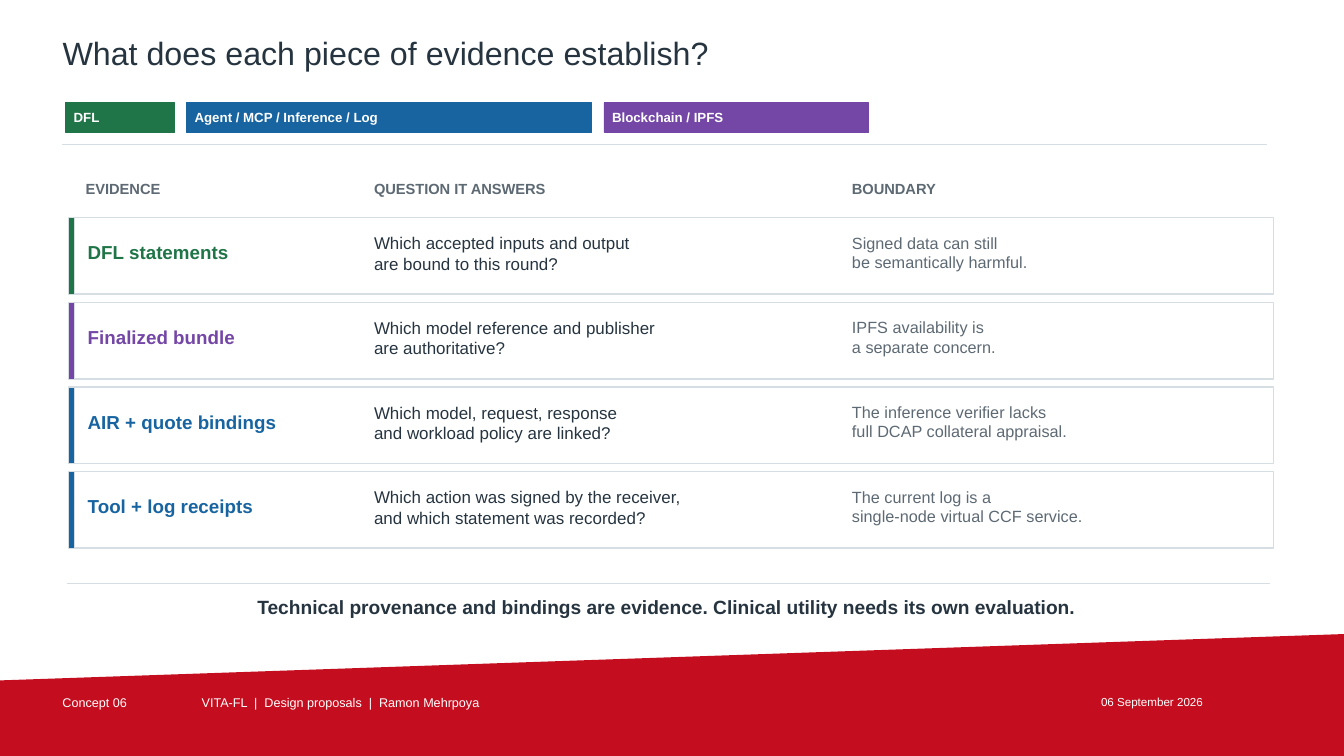
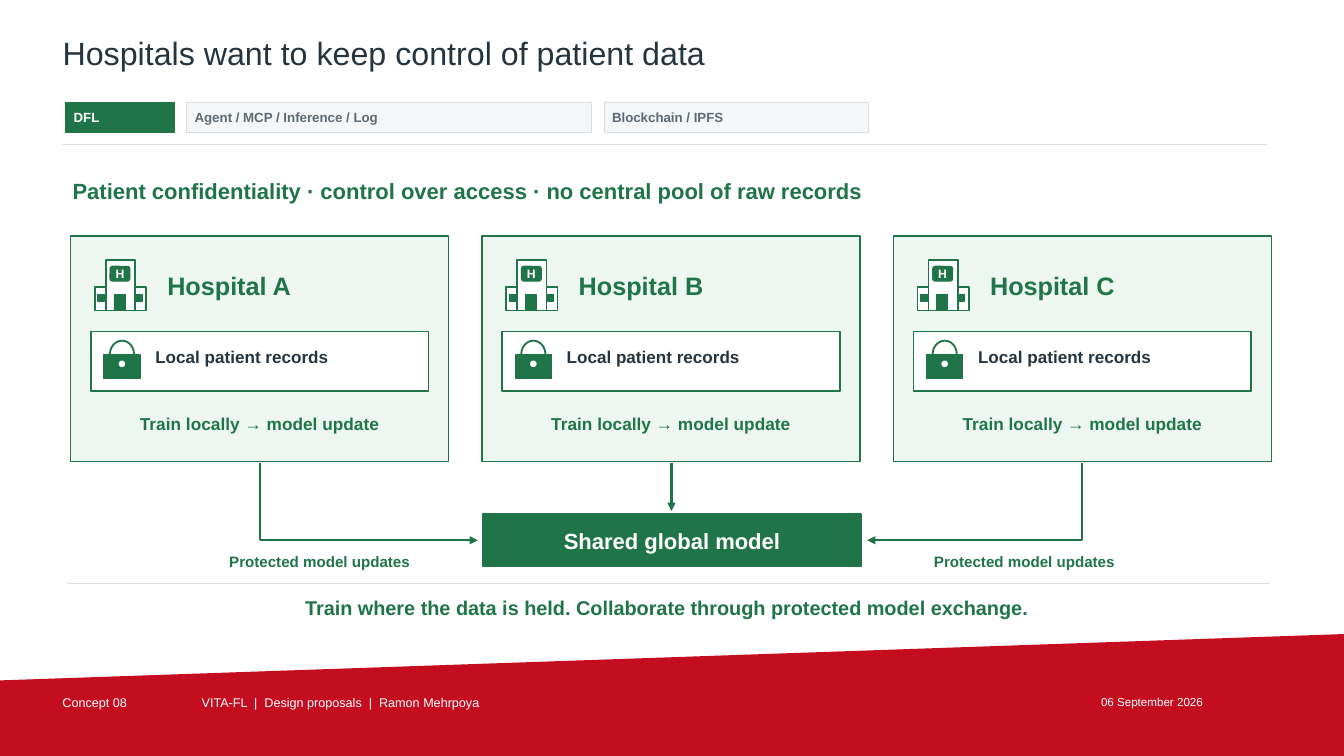
"""Build two slides on evidence and federated learning in one shared frame."""
import pptx
import pptx.dml.color
import pptx.enum.shapes
import pptx.enum.text
import pptx.oxml.ns
import pptx.util
import lxml.etree

Inches = pptx.util.Inches
KIND = pptx.enum.shapes.MSO_SHAPE
ALIGN = pptx.enum.text.PP_ALIGN
ANCHOR = pptx.enum.text.MSO_ANCHOR

THEME = {
    "font": "Arial",
    "ink": "263440", "gray": "5D6973", "rule": "D7DEE3", "pale": "F5F6F7",
    "white": "FFFFFF", "red": "C40D1E", "green": "207548", "mint": "EDF6F0",
    "blue": "1764A1", "purple": "7446A6",
    "size": {"title": 23, "chip": 9.5, "foot": 9, "date": 8.3, "head": 10.5,
             "name": 13.4, "ask": 12.1, "limit": 11.6, "lead": 15.7,
             "site": 18, "sign": 8.7, "data": 12.2, "train": 12.3,
             "note": 10.8, "close": 13.7, "motto": 14.2},
}

CHIPS = [("DFL", 1.08, "green"),
         ("Agent / MCP / Inference / Log", 4.02, "blue"),
         ("Blockchain / IPFS", 2.62, "purple")]
FOOT = "VITA-FL  |  Design proposals  |  Ramon Mehrpoya"
DATE = "06 September 2026"

PROOF = {
    "title": "What does each piece of evidence establish?",
    "tag": "Concept 06",
    "lit": ("green", "blue", "purple"),
    "close": ("Technical provenance and bindings are evidence. "
              "Clinical utility needs its own evaluation.", "close", "ink"),
}
HEADS = [("EVIDENCE", 0.85, 2.64), ("QUESTION IT ANSWERS", 3.71, 4.18),
         ("BOUNDARY", 8.45, 3.72)]
ROWS = [
    ("DFL statements", "green",
     "Which accepted inputs and output\nare bound to this round?",
     "Signed data can still\nbe semantically harmful."),
    ("Finalized bundle", "purple",
     "Which model reference and publisher\nare authoritative?",
     "IPFS availability is\na separate concern."),
    ("AIR + quote bindings", "blue",
     "Which model, request, response\nand workload policy are linked?",
     "The inference verifier lacks\nfull DCAP collateral appraisal."),
    ("Tool + log receipts", "blue",
     "Which action was signed by the receiver,\nand which statement was recorded?",
     "The current log is a\nsingle-node virtual CCF service."),
]

CARE = {
    "title": "Hospitals want to keep control of patient data",
    "tag": "Concept 08",
    "lit": ("green",),
    "close": ("Train where the data is held. "
              "Collaborate through protected model exchange.", "motto", "green"),
}
LEAD = ("Patient confidentiality · control over access · "
        "no central pool of raw records")
SITES = ["Hospital A", "Hospital B", "Hospital C"]
ICON = [
    ("RECTANGLE", 0.24, 0.51, 0.51, 0.23, "white", 1.2),
    ("RECTANGLE", 0.35, 0.24, 0.29, 0.5, "white", 1.2),
    ("RECTANGLE", 0.43, 0.58, 0.11, 0.16, "green", 0.5),
    ("RECTANGLE", 0.27, 0.58, 0.07, 0.07, "green", 0.5),
    ("RECTANGLE", 0.64, 0.58, 0.07, 0.07, "green", 0.5),
    ("RECTANGLE", 0.2, 0.95, 3.35, 0.59, "white", 1.1),
    ("OVAL", 0.39, 1.04, 0.24, 0.27, "white", 1.3),
    ("RECTANGLE", 0.33, 1.18, 0.36, 0.23, "green", 0.6),
]


def tint(name):
    """Return a theme colour."""
    return pptx.dml.color.RGBColor.from_string(THEME[name])


def write(shape, words, size, color, bold, align=ALIGN.LEFT, inset=0):
    """Set one paragraph of text in a shape."""
    frame = shape.text_frame
    frame.word_wrap = True
    frame.margin_left = frame.margin_right = Inches(inset)
    frame.margin_top = frame.margin_bottom = 0
    para = frame.paragraphs[0]
    para.text = words
    para.alignment = align
    para.font.name = THEME["font"]
    para.font.size = pptx.util.Pt(THEME["size"][size])
    para.font.bold = bold
    para.font.color.rgb = tint(color)


def label(slide, words, box, size, color, bold=True, align=ALIGN.LEFT):
    """Add a text box."""
    shape = slide.shapes.add_textbox(*map(Inches, box))
    write(shape, words, size, color, bold, align)


def block(slide, box, fill, edge, width, kind="RECTANGLE"):
    """Add a filled and outlined preset shape."""
    shape = slide.shapes.add_shape(getattr(KIND, kind), *map(Inches, box))
    shape.shadow.inherit = False
    shape.fill.solid()
    shape.fill.fore_color.rgb = tint(fill)
    shape.line.color.rgb = tint(edge)
    shape.line.width = pptx.util.Pt(width)
    shape.text_frame.vertical_anchor = ANCHOR.MIDDLE
    return shape


def line(slide, start, end, color, width, arrow=False):
    """Add a straight line, with an arrowhead on request."""
    link = slide.shapes.add_connector(
        pptx.enum.shapes.MSO_CONNECTOR.STRAIGHT, *map(Inches, start + end))
    link.line.color.rgb = tint(color)
    link.line.width = pptx.util.Pt(width)
    qn = pptx.oxml.ns.qn
    if arrow:
        lxml.etree.SubElement(link.line._get_or_add_ln(), qn("a:tailEnd"),
                              type="triangle")
    lxml.etree.SubElement(link._element.spPr, qn("a:effectLst"))


def band(slide):
    """Draw the slanted band and move it to the shared layout."""
    maker = slide.shapes.build_freeform(0, Inches(6.75))
    maker.add_line_segments([tuple(map(Inches, spot)) for spot in
                             [(13.33, 6.29), (13.33, 7.5), (0, 7.5)]])
    shape = maker.convert_to_shape()
    shape.shadow.inherit = False
    shape.fill.solid()
    shape.fill.fore_color.rgb = tint("red")
    shape.line.fill.background()
    slide.slide_layout.element.cSld.spTree.append(shape.element)


def frame(slide, page):
    """Add title, chips, rules, closing line and footer."""
    label(slide, page["title"], (0.62, 0.33, 10.75, 0.57), "title", "ink", False)
    left = 0.65
    for words, width, hue in CHIPS:
        lit = hue in page["lit"]
        chip = block(slide, (left, 1.02, width, 0.29), hue if lit else "pale",
                     hue if lit else "rule", 0.6)
        write(chip, words, "chip", "white" if lit else "gray", True, inset=0.08)
        left += width + 0.12
    line(slide, (0.62, 1.43), (12.57, 1.43), "rule", 0.75)
    line(slide, (0.66, 5.79), (12.6, 5.79), "rule", 0.75)
    words, size, color = page["close"]
    label(slide, words, (0.72, 5.91, 11.78, 0.33), size, color,
          align=ALIGN.CENTER)
    for words, left, width, size in [(page["tag"], 0.62, 1.3, "foot"),
                                     (FOOT, 2, 8.8, "foot"),
                                     (DATE, 10.92, 1.81, "date")]:
        label(slide, words, (left, 6.89, width, 0.22), size, "white", False)


def proof(slide):
    """Add the evidence rows."""
    for words, left, width in HEADS:
        label(slide, words, (left, 1.78, width, 0.23), "head", "gray")
    for row, (name, hue, ask, limit) in enumerate(ROWS):
        top = 2.16 + row * 0.84
        block(slide, (0.68, top, 11.95, 0.76), "white", "rule", 1.1)
        block(slide, (0.68, top, 0.06, 0.76), hue, "rule", 0.5)
        label(slide, name, (0.87, top + 0.23, 2.6, 0.32), "name", hue)
        label(slide, ask, (3.71, top + 0.15, 4.53, 0.53), "ask", "ink", False)
        label(slide, limit, (8.45, top + 0.15, 3.89, 0.53), "limit", "gray", False)


def site(slide, name, left, top):
    """Add one hospital card."""
    block(slide, (left, top, 3.75, 2.24), "mint", "green", 1.1)
    for kind, across, down, wide, high, fill, edge in ICON:
        block(slide, (left + across, top + down, wide, high),
              fill, "green", edge, kind)
    block(slide, (left + 0.48, top + 1.24, 0.06, 0.06),
          "white", "white", 0.3, "OVAL")
    sign = block(slide, (left + 0.39, top + 0.3, 0.2, 0.15),
                 "green", "green", 0.5, "ROUNDED_RECTANGLE")
    write(sign, "H", "sign", "white", True, ALIGN.CENTER)
    label(slide, name, (left + 0.96, top + 0.34, 2.56, 0.38), "site", "green")
    label(slide, "Local patient records", (left + 0.84, top + 1.1, 2.38, 0.27),
          "data", "ink")
    label(slide, "Train locally → model update",
          (left + 0.2, top + 1.76, 3.35, 0.28), "train", "green",
          align=ALIGN.CENTER)


def care(slide):
    """Add the hospitals and the model they share."""
    label(slide, LEAD, (0.72, 1.76, 11.9, 0.38), "lead", "green")
    for col, name in enumerate(SITES):
        site(slide, name, 0.7 + col * 4.08, 2.34)
    for stem, tip, note in [(2.58, 4.74, 1.62), (10.73, 8.6, 8.61)]:
        line(slide, (stem, 4.59), (stem, 5.36), "green", 1.5)
        line(slide, (stem, 5.36), (tip, 5.36), "green", 1.5, True)
        label(slide, "Protected model updates", (note, 5.48, 3.1, 0.25),
              "note", "green", align=ALIGN.CENTER)
    line(slide, (6.66, 4.59), (6.66, 5.07), "green", 1.5, True)
    hub = block(slide, (4.79, 5.1, 3.75, 0.52), "green", "green", 1.1)
    write(hub, "Shared global model", "lead", "white", True, ALIGN.CENTER)


def main():
    """Build and save the deck."""
    deck = pptx.Presentation()
    deck.slide_width, deck.slide_height = Inches(13.33), Inches(7.5)
    blank = deck.slide_layouts[6]
    for page, draw in [(PROOF, proof), (CARE, care)]:
        slide = deck.slides.add_slide(blank)
        if page is PROOF:
            band(slide)
        frame(slide, page)
        draw(slide)
    deck.save("out.pptx")


if __name__ == "__main__":
    main()
